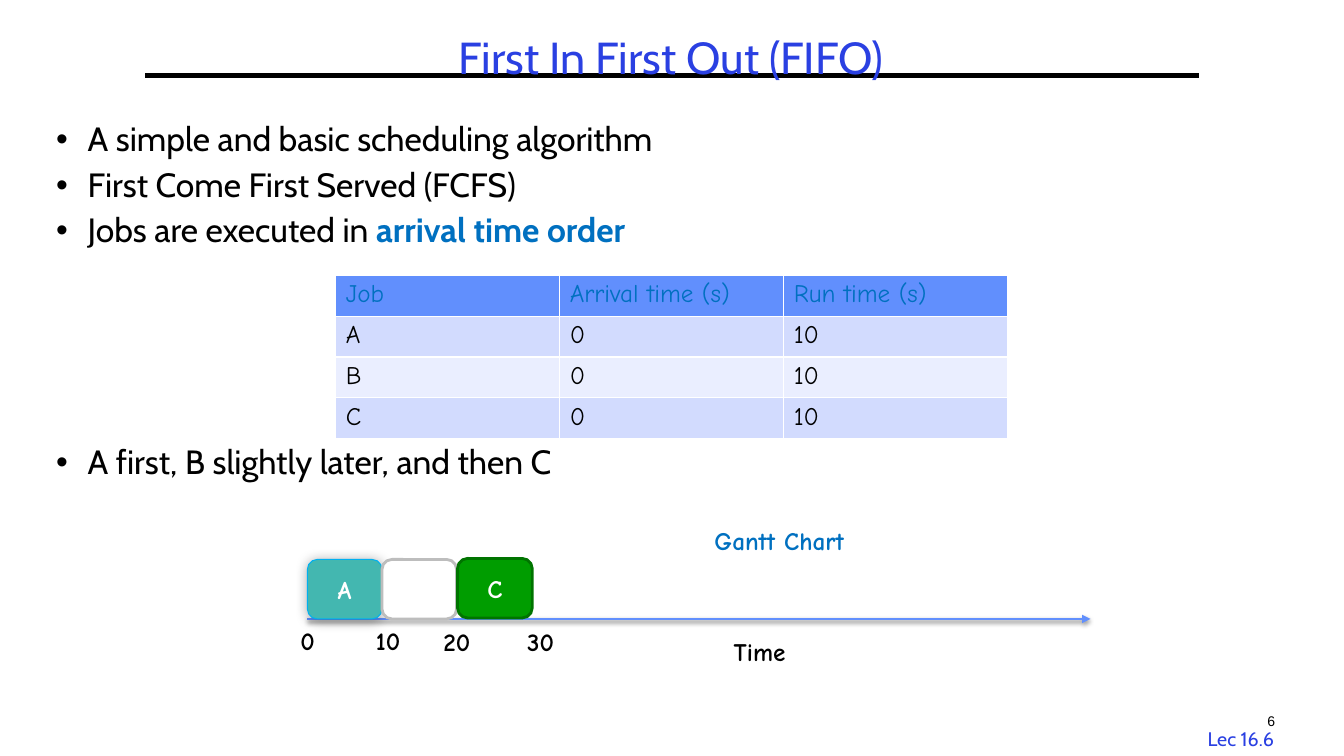
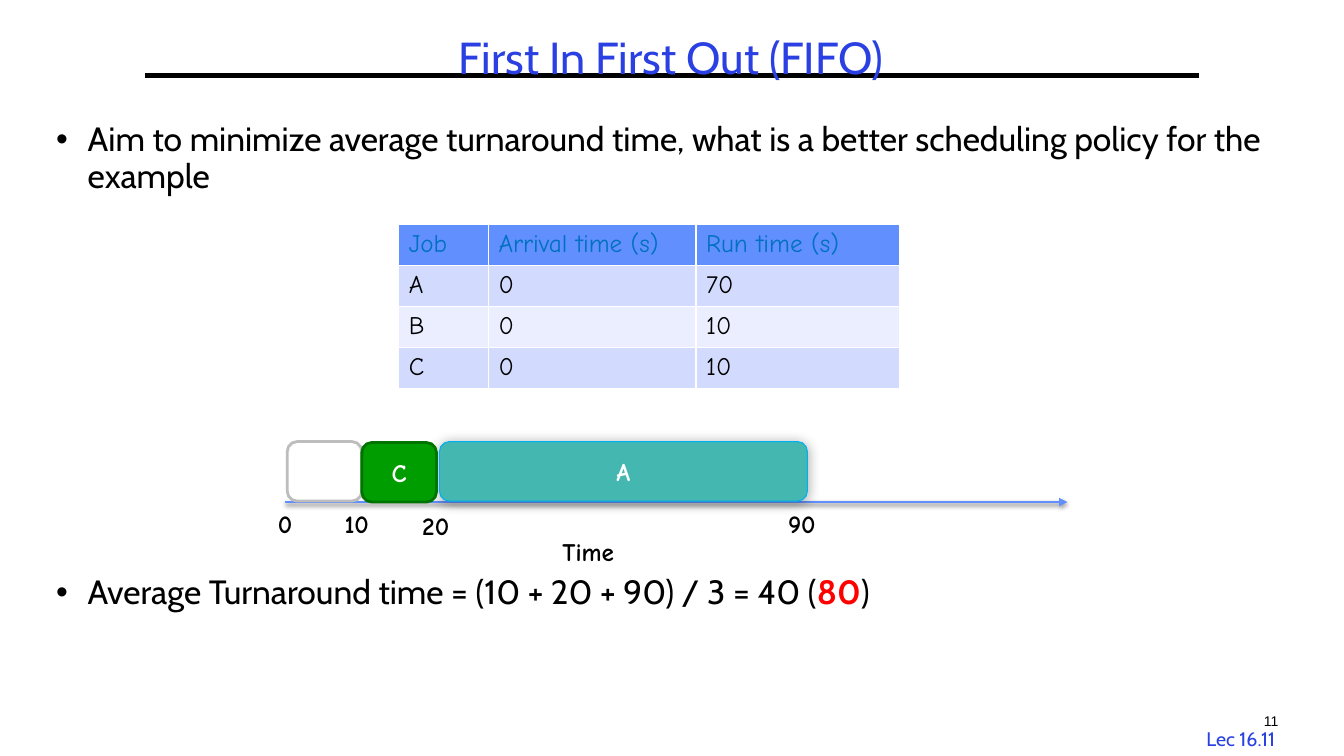
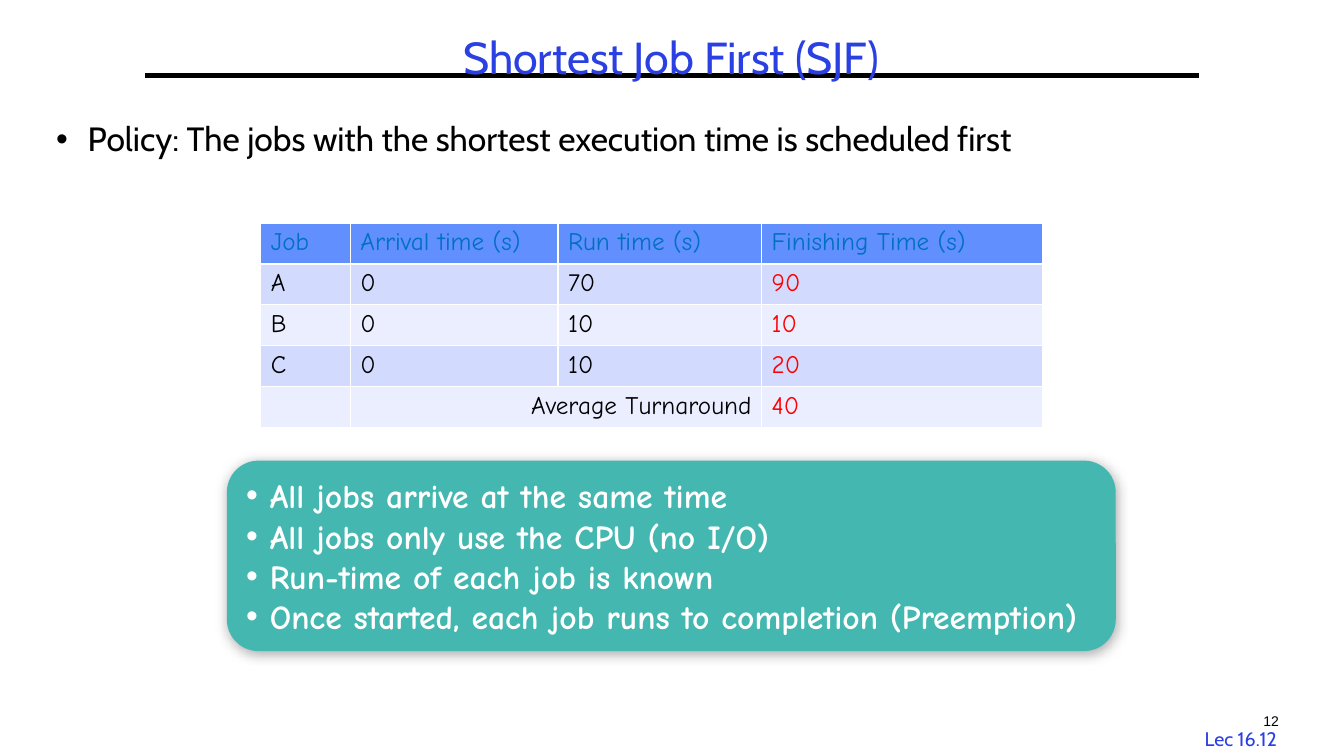
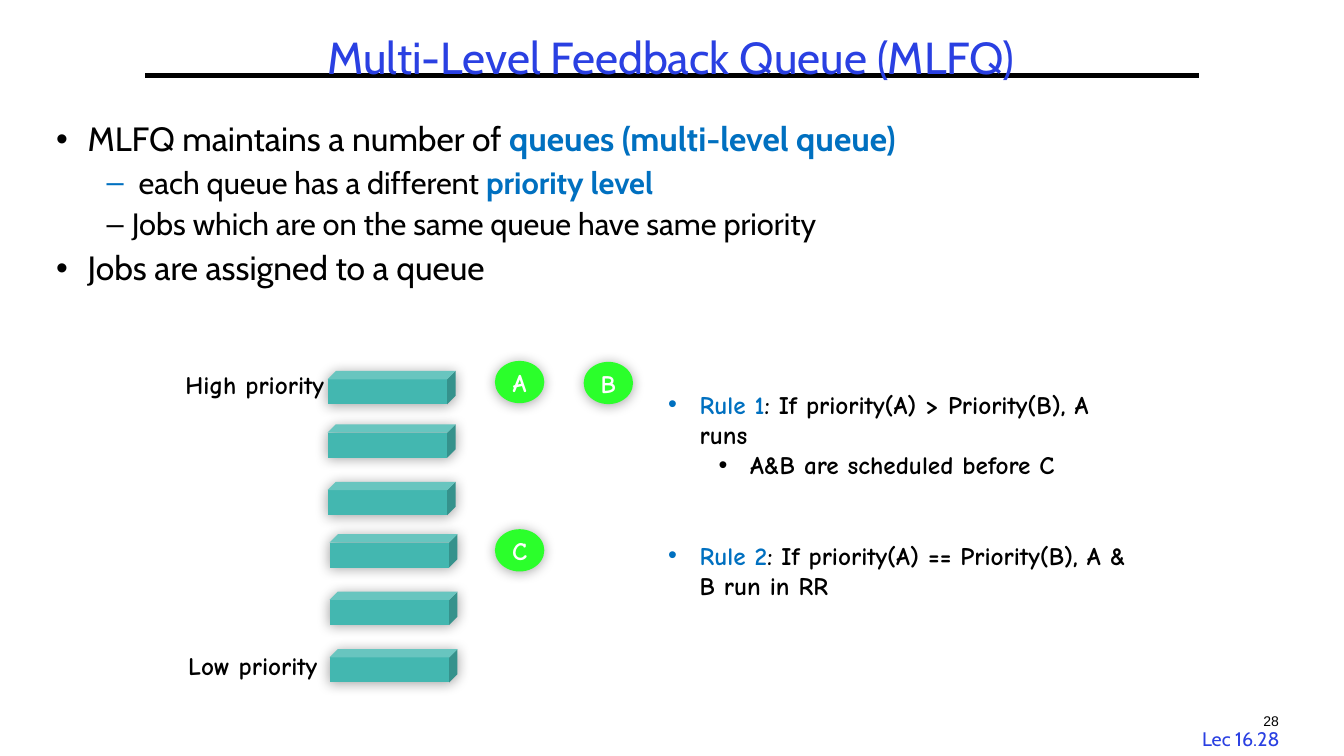
from dataclasses import dataclass
from typing import NamedTuple

from lxml.etree import SubElement
from pptx import Presentation
from pptx.dml.color import RGBColor
from pptx.enum.shapes import MSO_CONNECTOR, MSO_SHAPE
from pptx.enum.text import MSO_ANCHOR, MSO_AUTO_SIZE, PP_ALIGN
from pptx.oxml.ns import qn
from pptx.util import Pt

BLACK, WHITE, RED = "000000", "FFFFFF", "FF0000"
TITLE_BLUE, ACCENT, AXIS_BLUE = "2A40E2", "0070C0", "618FFD"
TEAL, TEAL_EDGE, GREEN, GREEN_EDGE = "43B7B0", "00B0F0", "009D00", "007400"
LIME, GREY = "2BFF2B", "BDBDBD"
BANDS = ("D2DBFE", "EAEEFF")
CABIN, COMIC, ARIAL = "Cabin", "Comic Neue", "Arial"
ROW_HEIGHT = 29.2
BLOCK_WIDTH, BLOCK_HEIGHT = 53.3, 42.5
JOB_COLUMNS = (64.1, 148.3, 145.4)
JOB_HEADER = ("Job", "Arrival time (s)", "Run time (s)")


class Box(NamedTuple):
    left: float
    top: float
    width: float
    height: float


class Span(NamedTuple):
    text: str
    color: str = BLACK
    bold: bool = False


@dataclass(frozen=True)
class Item:
    spans: tuple[Span, ...]
    size: float = 24
    bullet: str = "•"
    bullet_color: str = BLACK
    margin: float = 22.5
    hanging: float = 22.5
    before: float = 6.6


@dataclass(frozen=True)
class Block:
    box: Box
    fill: str
    edge: str | None = None
    edge_width: float = 2
    text: str = ""
    shadow: bool = False
    preset: MSO_SHAPE = MSO_SHAPE.ROUNDED_RECTANGLE


@dataclass(frozen=True)
class Label:
    text: str
    box: Box
    color: str = BLACK


def rgb(value: str) -> RGBColor:
    return RGBColor.from_string(value)


def set_font(font, name: str, size: float, color: str, bold: bool = False) -> None:
    font.name, font.size, font.bold = name, Pt(size), bold
    font.color.rgb = rgb(color)


def add_color(parent, color: str):
    return SubElement(parent, qn("a:srgbClr"), val=color)


def add_shadow(properties, blur: float, distance: float, opacity: int) -> None:
    effects = properties.find(qn("a:effectLst"))
    outer = SubElement(effects, qn("a:outerShdw"), blurRad=str(Pt(blur)),
                       dist=str(Pt(distance)), dir="5400000", rotWithShape="0")
    SubElement(add_color(outer, BLACK), qn("a:alpha"), val=str(opacity * 1000))


def set_bullet(paragraph, item: Item) -> None:
    properties = paragraph._p.get_or_add_pPr()
    properties.set("marL", str(Pt(item.margin)))
    properties.set("indent", str(-Pt(item.hanging)))
    add_color(SubElement(properties, qn("a:buClr")), item.bullet_color)
    SubElement(properties, qn("a:buFont"), typeface=ARIAL)
    SubElement(properties, qn("a:buChar"), char=item.bullet)


def write_items(frame, items: list[Item], name: str, spacing: float) -> None:
    for index, item in enumerate(items):
        paragraph = frame.paragraphs[0] if index == 0 else frame.add_paragraph()
        set_bullet(paragraph, item)
        paragraph.alignment = PP_ALIGN.LEFT
        paragraph.line_spacing = spacing
        if index:
            paragraph.space_before = Pt(item.before)
        base = item.spans[0]
        set_font(paragraph.font, name, item.size, base.color, base.bold)
        for span in item.spans:
            run = paragraph.add_run()
            run.text = span.text
            if span.color != base.color:
                run.font.color.rgb = rgb(span.color)
            if span.bold != base.bold:
                run.font.bold = span.bold


def add_text(slide, box: Box, text: str, name: str, size: float, color: str,
             bold: bool = False, align: PP_ALIGN = PP_ALIGN.LEFT) -> None:
    frame = slide.shapes.add_textbox(*map(Pt, box)).text_frame
    frame.word_wrap = False
    frame.auto_size = MSO_AUTO_SIZE.SHAPE_TO_FIT_TEXT
    paragraph = frame.paragraphs[0]
    paragraph.text, paragraph.alignment = text, align
    set_font(paragraph.font, name, size, color, bold)


def add_items(slide, box: Box, items: list[Item], name: str, spacing: float) -> None:
    frame = slide.shapes.add_textbox(*map(Pt, box)).text_frame
    frame.word_wrap = True
    write_items(frame, items, name, spacing)


def add_body(slide, items: list[Item]) -> None:
    add_items(slide, Box(33.1, 84.2, 892.8, 404.6), items, CABIN, 0.9)


def add_rule(slide, left: float, right: float, y: float, color: str, width: float):
    rule = slide.shapes.add_connector(MSO_CONNECTOR.STRAIGHT, Pt(left), Pt(y), Pt(right), Pt(y))
    rule.line.color.rgb, rule.line.width = rgb(color), Pt(width)
    SubElement(rule._element.spPr, qn("a:effectLst"))
    return rule


def add_time_axis(slide, left: float, right: float, y: float) -> None:
    axis = add_rule(slide, left, right, y, AXIS_BLUE, 2)
    SubElement(axis.line._get_or_add_ln(), qn("a:tailEnd"), type="triangle")
    add_shadow(axis._element.spPr, 3.1, 1.6, 38)


def add_block(slide, block: Block):
    shape = slide.shapes.add_shape(block.preset, *map(Pt, block.box))
    shape.shadow.inherit = False
    shape.fill.solid()
    shape.fill.fore_color.rgb = rgb(block.fill)
    if block.edge:
        shape.line.color.rgb, shape.line.width = rgb(block.edge), Pt(block.edge_width)
    else:
        shape.line.fill.background()
    if block.shadow:
        add_shadow(shape._element.spPr, 9, 1, 35)
    if block.text:
        frame = shape.text_frame
        frame.margin_left = frame.margin_right = 0
        frame.margin_top = frame.margin_bottom = 0
        frame.vertical_anchor = MSO_ANCHOR.MIDDLE
        paragraph = frame.paragraphs[0]
        paragraph.text, paragraph.alignment = block.text, PP_ALIGN.CENTER
        set_font(paragraph.font, COMIC, 18, WHITE, True)
    return shape


def add_labels(slide, labels: list[Label]) -> None:
    for label in labels:
        add_text(slide, label.box, label.text, COMIC, 18, label.color, True)


def job_a(left: float, top: float, width: float = BLOCK_WIDTH) -> Block:
    return Block(Box(left, top, width, BLOCK_HEIGHT), TEAL, TEAL_EDGE, 0.75, "A", True)


def job_b(left: float, top: float) -> Block:
    return Block(Box(left, top, BLOCK_WIDTH, BLOCK_HEIGHT), WHITE, GREY)


def job_c(left: float, top: float) -> Block:
    return Block(Box(left, top, BLOCK_WIDTH, BLOCK_HEIGHT), GREEN, GREEN_EDGE, text="C")


def tick(text: str, left: float, top: float) -> Label:
    return Label(text, Box(left, top, 25.9 if len(text) == 1 else 36.7, 28.8))


def style_cell(cell, fill: str, color: str) -> None:
    properties = cell._tc.get_or_add_tcPr()
    for side in ("a:lnL", "a:lnR", "a:lnT", "a:lnB"):
        border = SubElement(properties, qn(side), w=str(Pt(1)))
        add_color(SubElement(border, qn("a:solidFill")), WHITE)
    cell.fill.solid()
    cell.fill.fore_color.rgb = rgb(fill)
    set_font(cell.text_frame.paragraphs[0].font, COMIC, 18, color)


def add_job_table(slide, left: float, top: float, columns: tuple[float, ...],
                  rows: list[tuple[str, ...]]):
    table = slide.shapes.add_table(len(rows), len(columns), Pt(left), Pt(top),
                                   Pt(sum(columns)), Pt(ROW_HEIGHT * len(rows))).table
    table.first_row = table.horz_banding = False
    for column, width in zip(table.columns, columns):
        column.width = Pt(width)
    for row_index, values in enumerate(rows):
        table.rows[row_index].height = Pt(ROW_HEIGHT)
        for column_index, value in enumerate(values):
            cell = table.cell(row_index, column_index)
            cell.text = value
            if row_index == 0:
                style_cell(cell, AXIS_BLUE, ACCENT)
            else:
                color = RED if column_index == len(JOB_HEADER) else BLACK
                style_cell(cell, BANDS[(row_index - 1) % 2], color)
    return table


def start_slide(deck, title: str, number: int):
    slide = deck.slides.add_slide(deck.slide_layouts[5])
    add_text(slide, Box(847.4, 515.5, 77.8, 23.8), f"Lec 16.{number}", CABIN, 14,
             TITLE_BLUE, align=PP_ALIGN.CENTER)
    add_rule(slide, 103.7, 856.1, 54, BLACK, 3)
    add_text(slide, Box(890, 505.4, 36, 28.8), str(number), ARIAL, 10, BLACK,
             align=PP_ALIGN.CENTER)
    heading = slide.shapes.title
    slide.shapes._spTree.append(heading._element)
    heading.left, heading.top, heading.width, heading.height = map(
        Pt, Box(33.1, 21.6, 892.8, 41.8))
    frame = heading.text_frame
    frame.text = title
    frame.auto_size, frame.word_wrap = MSO_AUTO_SIZE.NONE, True
    frame.vertical_anchor = MSO_ANCHOR.MIDDLE
    paragraph = frame.paragraphs[0]
    paragraph.alignment, paragraph.line_spacing = PP_ALIGN.CENTER, 0.9
    set_font(paragraph.font, CABIN, 32, TITLE_BLUE)
    return slide


def build_fifo(deck) -> None:
    slide = start_slide(deck, "First In First Out (FIFO)", 6)
    add_body(slide, [
        Item((Span("A simple and basic scheduling algorithm"),)),
        Item((Span("First Come First Served (FCFS)"),)),
        Item((Span("Jobs are executed in "), Span("arrival time order", ACCENT, True))),
        Item((Span("A first, B slightly later, and then C"),), before=139.5),
    ])
    add_job_table(slide, 239.8, 196.6, (160, 160, 160),
                  [JOB_HEADER, *((job, "0", "10") for job in "ABC")])
    add_time_axis(slide, 219.6, 779, 442.1)
    for block in (job_a(219.6, 399.6), job_b(272.9, 399.6), job_c(326.9, 398.9)):
        add_block(slide, block)
    add_labels(slide, [
        Label("Time", Box(517, 450.7, 56.9, 28.8)),
        tick("0", 207.4, 442.8),
        tick("10", 261.4, 442.8),
        tick("20", 309.6, 443.5),
        tick("30", 369.4, 444.2),
        Label("Gantt Chart", Box(503.3, 371.5, 120.2, 28.8), ACCENT),
    ])


def build_better_order(deck) -> None:
    slide = start_slide(deck, "First In First Out (FIFO)", 11)
    add_body(slide, [
        Item((Span("Aim to minimize average turnaround time, what is a better "
                   "scheduling policy for the example"),)),
        Item((Span("Average Turnaround time = (10 + 20 + 90) / 3 = 40 ("),
              Span("80", RED, True), Span(")")), before=271.7),
    ])
    add_job_table(slide, 284.8, 160.6, JOB_COLUMNS,
                  [JOB_HEADER, ("A", "0", "70"), ("B", "0", "10"), ("C", "0", "10")])
    add_time_axis(slide, 203.8, 762.5, 358.6)
    for block in (job_a(313.9, 315.4, 262.8), job_b(205.2, 315.4), job_c(258.5, 316.1)):
        add_block(slide, block)
    add_labels(slide, [
        Label("Time", Box(394.6, 379.4, 56.9, 28.8)),
        tick("0", 191.5, 359.3),
        tick("10", 239, 359.3),
        tick("20", 294.5, 360.7),
        tick("90", 555.8, 359.3),
    ])


def build_sjf(deck) -> None:
    slide = start_slide(deck, "Shortest Job First (SJF)", 12)
    add_body(slide, [
        Item((Span("Policy: The jobs with the shortest execution time is scheduled first"),)),
    ])
    table = add_job_table(slide, 186.2, 159.4, (*JOB_COLUMNS, 200.9), [
        (*JOB_HEADER, "Finishing Time (s)"),
        ("A", "0", "70", "90"),
        ("B", "0", "10", "10"),
        ("C", "0", "10", "20"),
        ("", "Average Turnaround", "", "40"),
    ])
    average = table.cell(4, 1)
    average.merge(table.cell(4, 2))
    average.text_frame.paragraphs[0].alignment = PP_ALIGN.RIGHT
    panel = add_block(slide, Block(Box(162, 329, 635, 136.1), TEAL, shadow=True))
    panel.text_frame.vertical_anchor = MSO_ANCHOR.MIDDLE
    assumptions = (
        "All jobs arrive at the same time",
        "All jobs only use the CPU (no I/O)",
        "Run-time of each job is known",
        "Once started, each job runs to completion (Preemption)",
    )
    write_items(panel.text_frame, [
        Item((Span(text, WHITE, True),), bullet_color=WHITE, margin=17, hanging=17, before=0)
        for text in assumptions
    ], COMIC, 1)


def build_mlfq(deck) -> None:
    slide = start_slide(deck, "Multi-Level Feedback Queue (MLFQ)", 28)
    add_body(slide, [
        Item((Span("MLFQ maintains a number of "),
              Span("queues (multi-level queue)", ACCENT, True))),
        Item((Span(" each queue has a different "), Span("priority level", ACCENT, True)),
             22, "–", ACCENT, 54, 18, 6),
        Item((Span("Jobs which are on the same queue have same priority"),),
             22, "–", BLACK, 54, 18, 6),
        Item((Span("Jobs are assigned to a queue"),)),
    ])
    for level, top in enumerate((265, 303.1, 344.2, 381.6, 422.6, 463.7)):
        left = 234 if level < 3 else 235.4
        add_block(slide, Block(Box(left, top, 91.4, 23.8), TEAL, shadow=True,
                               preset=MSO_SHAPE.CUBE))
    for job, left, top in (("A", 353.5, 257.8), ("B", 416.9, 258.5), ("C", 353.5, 378)):
        add_block(slide, Block(Box(left, top, 35.3, 30.2), LIME, text=job, shadow=True,
                               preset=MSO_SHAPE.OVAL))
    add_labels(slide, [
        Label("High priority", Box(125.3, 260.6, 126.7, 28.8)),
        Label("Low priority", Box(127.4, 460.8, 120.2, 28.8)),
    ])
    add_items(slide, Box(470.2, 274.3, 343.4, 181.4), [
        Item((Span("Rule 1", ACCENT, True),
              Span(": If priority(A) > Priority(B), A runs", BLACK, True)),
             18, bullet_color=ACCENT),
        Item((Span("A&B are scheduled before C", BLACK, True),), 18, margin=58.5, before=0),
        Item((Span("Rule 2", ACCENT, True),
              Span(": If priority(A) == Priority(B), A & B run in RR", BLACK, True)),
             18, bullet_color=ACCENT, before=43),
    ], COMIC, 1)


def main() -> None:
    deck = Presentation()
    deck.slide_width, deck.slide_height = Pt(960), Pt(540)
    for build in (build_fifo, build_better_order, build_sjf, build_mlfq):
        build(deck)
    deck.save("out.pptx")


if __name__ == "__main__":
    main()
